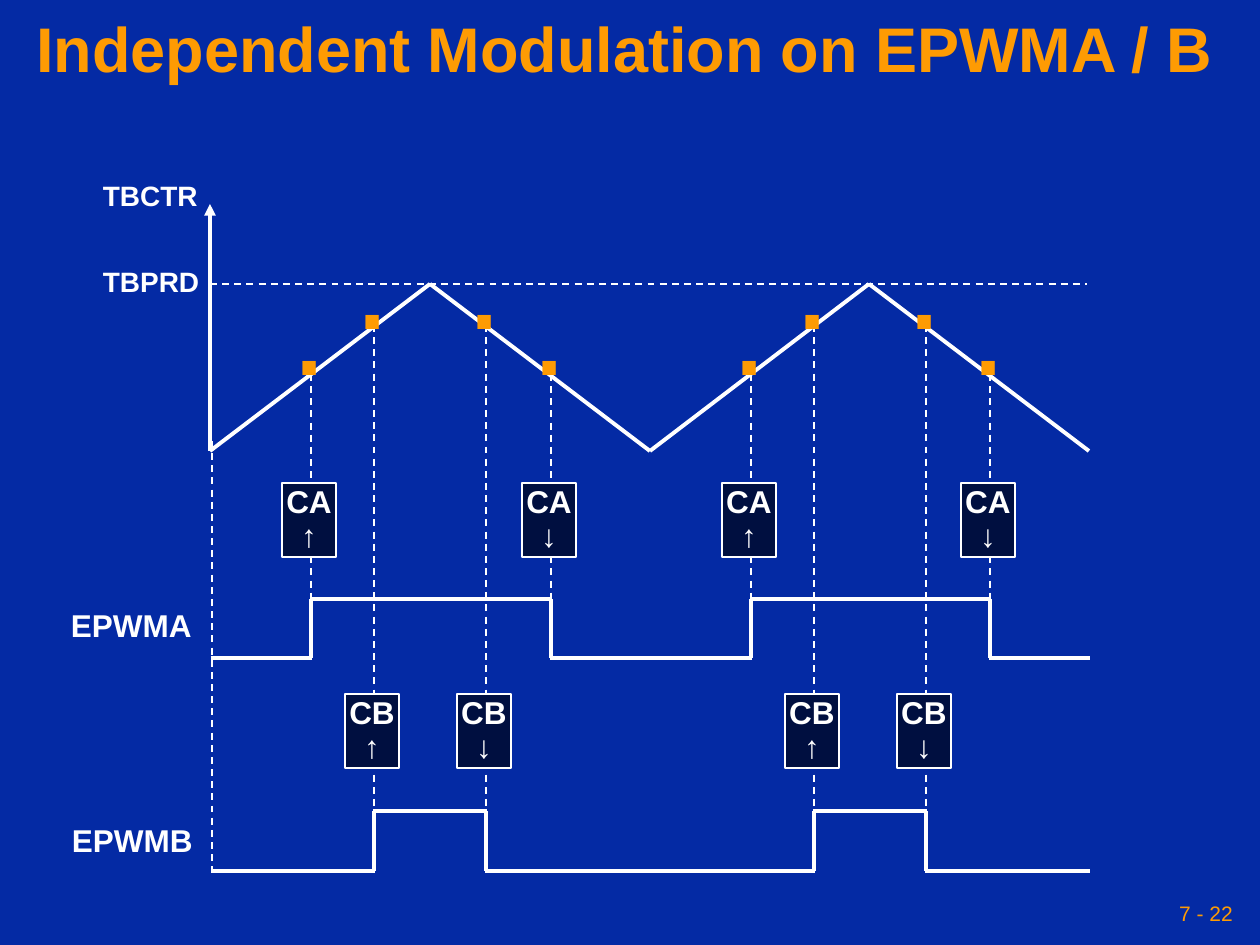
from lxml import etree
from pptx import Presentation
from pptx.dml.color import RGBColor
from pptx.enum.dml import MSO_LINE
from pptx.enum.shapes import MSO_CONNECTOR, MSO_SHAPE
from pptx.enum.text import MSO_ANCHOR, PP_ALIGN
from pptx.oxml.ns import qn
from pptx.util import Pt

DASH = MSO_LINE.DASH
STRAIGHT = MSO_CONNECTOR.STRAIGHT
RECT = MSO_SHAPE.RECTANGLE
TOP, MIDDLE = MSO_ANCHOR.TOP, MSO_ANCHOR.MIDDLE
LEFT, CENTER, RIGHT = PP_ALIGN.LEFT, PP_ALIGN.CENTER, PP_ALIGN.RIGHT
PX = 914400 // 126

THEME = {
    "font": "Arial",
    "bg": RGBColor.from_string("042AA4"),
    "accent": RGBColor.from_string("FE9B03"),
    "white": RGBColor.from_string("FFFFFF"),
    "box": RGBColor.from_string("000F40"),
    "title": 36, "label": 18, "axis": 16, "page": 12, "dot": 54,
    "thin": 1, "thick": 2.25,
}

prs = Presentation()
prs.slide_width, prs.slide_height = 1260 * PX, 945 * PX
s = prs.slides.add_slide(prs.slide_layouts[6])
s.background.fill.solid()
s.background.fill.fore_color.rgb = THEME["bg"]


def line(x1, y1, x2, y2, width="thick", dash=None):
    c = s.shapes.add_connector(STRAIGHT, x1 * PX, y1 * PX, x2 * PX, y2 * PX)
    c.line.color.rgb = THEME["white"]
    c.line.width = Pt(THEME[width])
    if dash:
        c.line.dash_style = dash
    etree.SubElement(c._element.spPr, qn("a:effectLst"))
    return c


def write(sp, lines, size, color="white", bold=True, align=LEFT,
          anchor=TOP, spacing=0.8, inset=13, wrap=False):
    tf = sp.text_frame
    tf.word_wrap = wrap
    tf.vertical_anchor = anchor
    tf.margin_left = inset * PX
    tf.margin_right = 0 if align == LEFT else inset * PX
    tf.margin_top = tf.margin_bottom = 6 * PX
    for i, text in enumerate(lines):
        p = tf.add_paragraph() if i else tf.paragraphs[0]
        p.alignment = align
        p.line_spacing = spacing
        if i:
            p.space_before = Pt(2.2)
        r = p.add_run()
        r.text = text
        r.font.name = THEME["font"]
        r.font.size = Pt(THEME[size])
        r.font.bold = bold
        r.font.color.rgb = THEME[color]


sp = s.shapes.add_textbox(861 * PX, 892 * PX, 378 * PX, 42 * PX)
write(sp, ["7 - 22"], "page", "accent", False, RIGHT, MIDDLE, 1.0, 6)
sp = s.shapes.add_textbox(0, 0, 1250 * PX, 105 * PX)
write(sp, ["Independent Modulation on EPWMA / B"], "title", "accent", True,
      CENTER, MIDDLE, 0.9, 6, True)

x_start, x_end = 212, 1089
y_peak, y_base = 284, 451
channels = [
    {"name": "CA", "edges": [311, 551, 751, 990], "marker": 374, "dot": 297,
     "box": 483, "high": 599, "low": 658},
    {"name": "CB", "edges": [374, 486, 814, 926], "marker": 325, "dot": 251,
     "box": 694, "high": 811, "low": 871},
]

for ch in channels:
    for x in ch["edges"]:
        line(x, ch["marker"], x, ch["high"], "thin", DASH)
line(x_start, 441, x_start, 872, "thin", DASH)
line(210, y_peak, 1087, y_peak, "thin", DASH)

axis = line(210, y_base, 210, 204)
etree.SubElement(axis._element.spPr.find(qn("a:ln")), qn("a:tailEnd"), type="triangle")

wave = [(210, y_base), (430, y_peak), (650, y_base), (869, y_peak), (x_end, y_base)]
for start, end in zip(wave, wave[1:]):
    line(*start, *end)

for text, x, y, w, h, size in [
    ("TBCTR", 90, 179, 120, 40, "axis"),
    ("TBPRD", 90, 265, 120, 40, "axis"),
    ("EPWMA", 58, 607, 146, 43, "label"),
    ("EPWMB", 59, 822, 146, 43, "label"),
]:
    sp = s.shapes.add_textbox(x * PX, y * PX, w * PX, h * PX)
    write(sp, [text], size)

for ch in channels:
    for i, x in enumerate(ch["edges"]):
        sp = s.shapes.add_textbox((x - 27) * PX, ch["dot"] * PX, 49 * PX, 103 * PX)
        write(sp, ["."], "dot", "accent")

        sp = s.shapes.add_shape(RECT, (x - 29) * PX, ch["box"] * PX, 54 * PX, 74 * PX)
        sp.shadow.inherit = False
        sp.fill.solid()
        sp.fill.fore_color.rgb = THEME["box"]
        sp.line.color.rgb = THEME["white"]
        sp.line.width = Pt(THEME["thin"])
        write(sp, [ch["name"], "↓" if i % 2 else "↑"], "label", align=CENTER, inset=0)

    stops = [x_start, *ch["edges"], x_end]
    for i, (x1, x2) in enumerate(zip(stops, stops[1:])):
        y = ch["high"] if i % 2 else ch["low"]
        line(x1 - 1, y, x2 + 1, y)
    for x in ch["edges"]:
        line(x, ch["high"], x, ch["low"])

prs.save("out.pptx")
